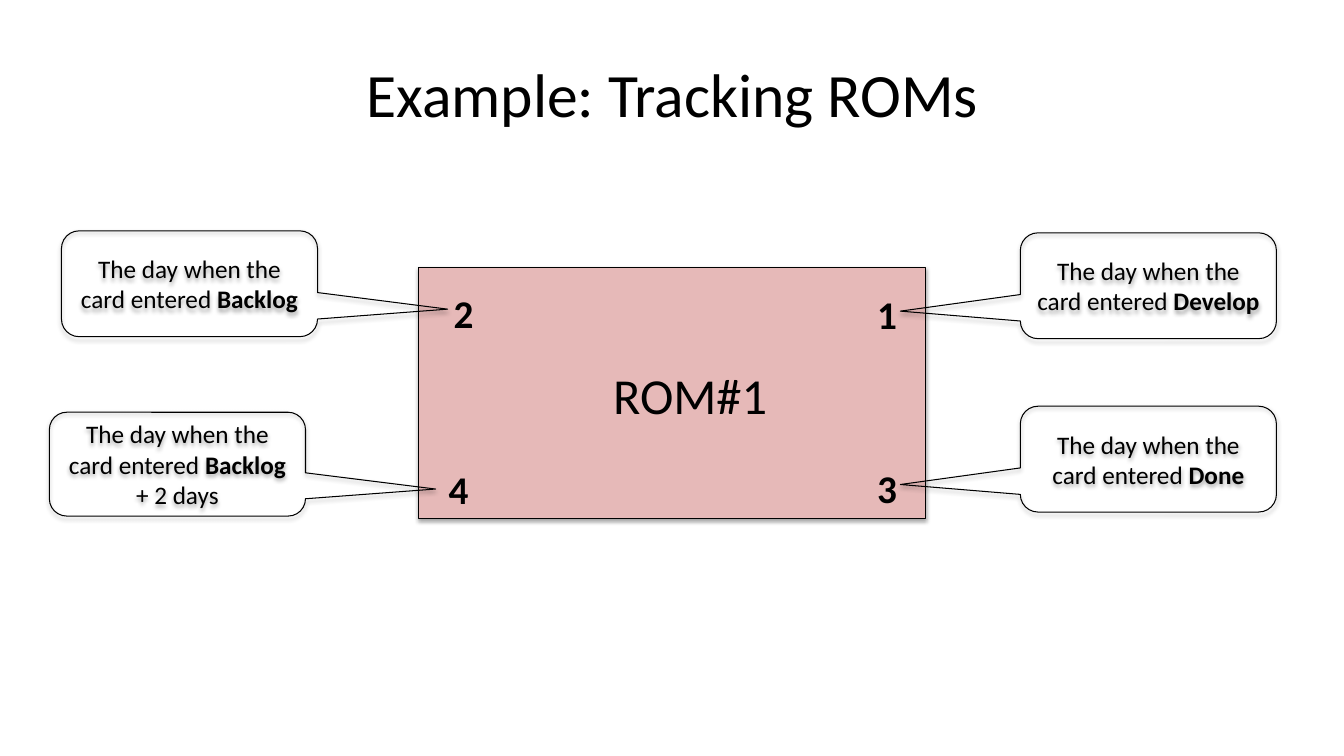
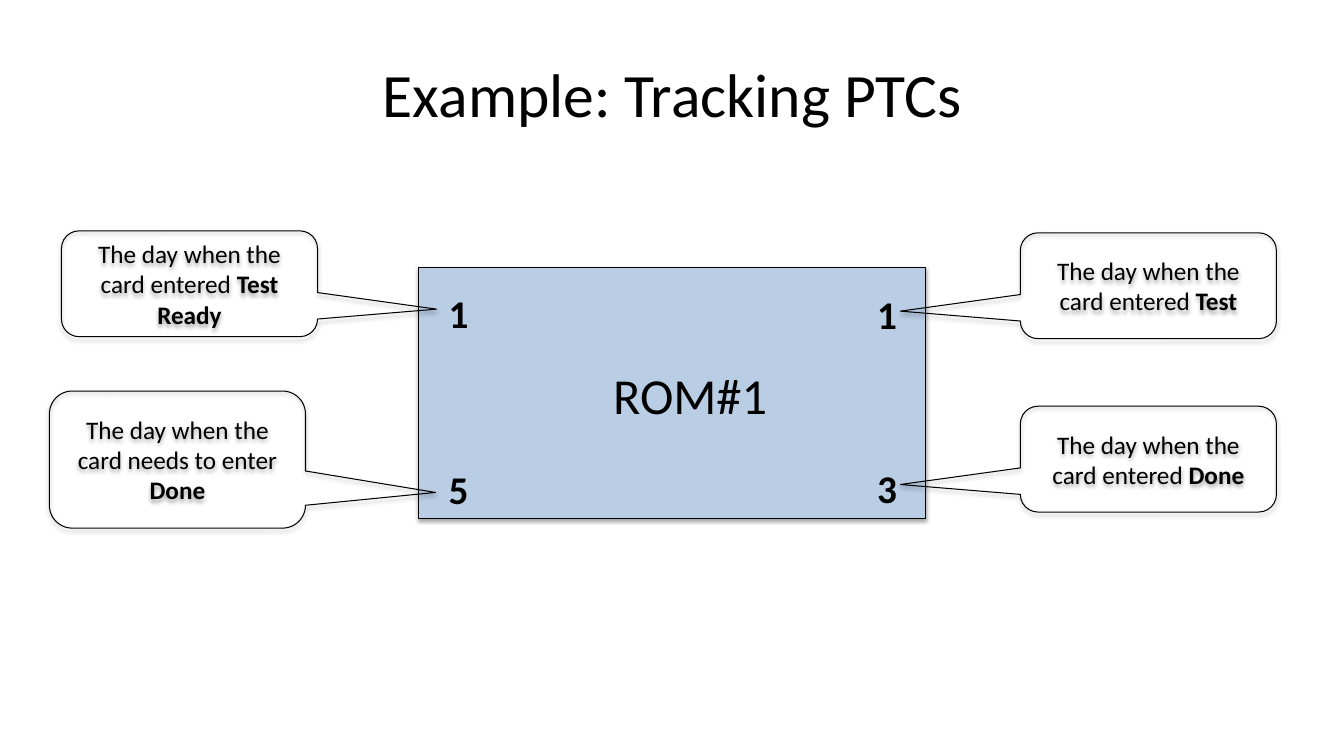
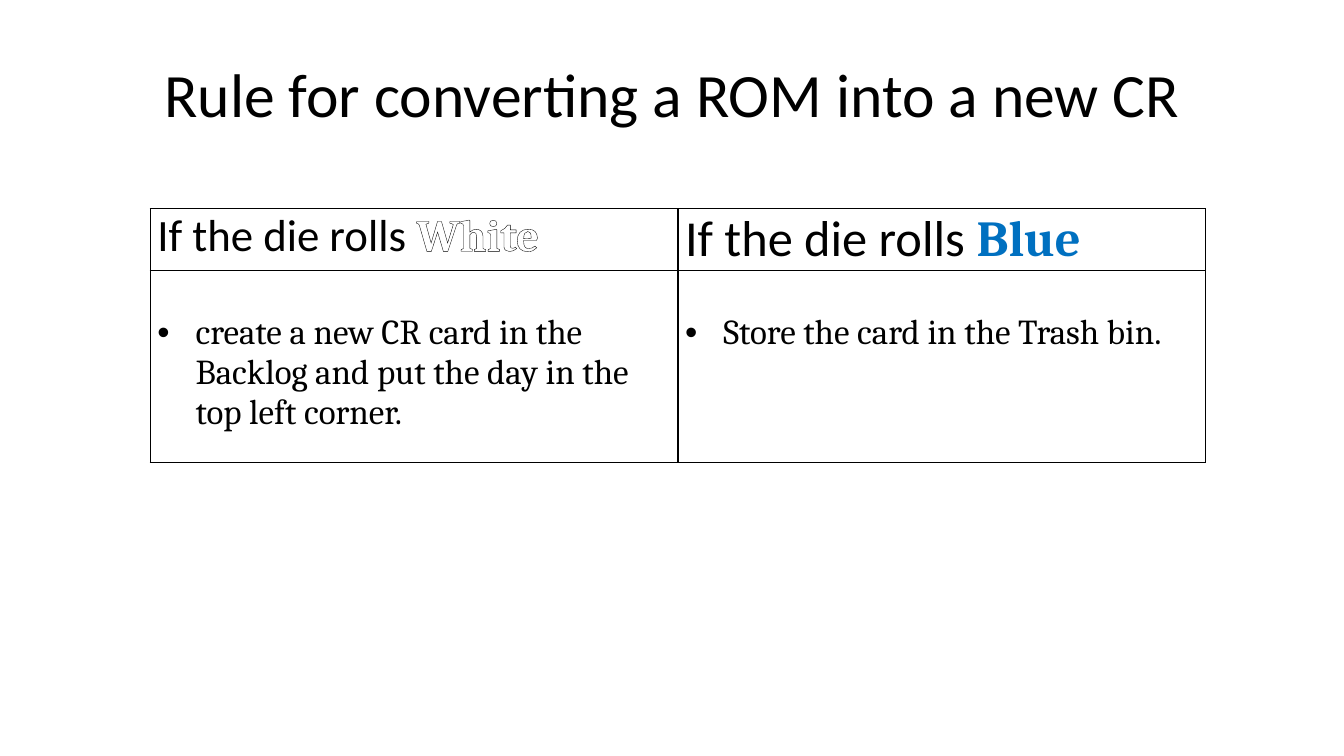
from lxml import etree
from pptx import Presentation
from pptx.dml.color import RGBColor
from pptx.enum.shapes import MSO_SHAPE as Shape
from pptx.enum.text import MSO_ANCHOR as Anchor, MSO_AUTO_SIZE as AutoSize, PP_ALIGN as Align
from pptx.oxml import parse_xml
from pptx.oxml.ns import nsdecls, qn
from pptx.util import Inches, Pt

BLACK = RGBColor(0x00, 0x00, 0x00)
WHITE = RGBColor(0xFF, 0xFF, 0xFF)
BLUE = RGBColor(0x00, 0x70, 0xC0)
PINK = RGBColor(0xE6, 0xB9, 0xB8)
PALE_BLUE = RGBColor(0xB9, 0xCD, 0xE5)
SANS, SERIF = "Calibri", "Cambria"

# Content: callout runs are (text, bold)
ENTERED = ("The day when the card entered ", False)
TRACKING = [
    {"title": "Example: Tracking ROMs", "fill": PINK, "corners": [
        # digit, digit left and top, callout left, top and height, tip x, runs
        ("2", 4.4, 2.82, 0.61, 2.29, 1.05, 4.44, [ENTERED, ("Backlog", True)]),
        ("1", 8.6, 2.83, 10.12, 2.31, 1.05, 8.93, [ENTERED, ("Develop", True)]),
        ("4", 4.35, 4.57, 0.49, 4.09, 1.03, 4.32,
         [ENTERED, ("Backlog", True), (" + 2 days", False)]),
        ("3", 8.6, 4.56, 10.12, 4.03, 1.05, 8.93, [ENTERED, ("Done", True)]),
    ]},
    {"title": "Example: Tracking PTCs", "fill": PALE_BLUE, "corners": [
        ("1", 4.35, 2.82, 0.61, 2.29, 1.05, 4.33, [ENTERED, ("Test Ready", True)]),
        ("1", 8.6, 2.83, 10.12, 2.31, 1.05, 8.93, [ENTERED, ("Test", True)]),
        ("5", 4.35, 4.57, 0.49, 3.88, 1.36, 4.32,
         [("The day when the card needs to enter ", False), ("Done", True)]),
        ("3", 8.6, 4.56, 10.12, 4.03, 1.05, 8.93, [ENTERED, ("Done", True)]),
    ]},
]
CARD_NAME = "ROM#1"
RULE_TITLE = "Rule for converting a ROM into a new CR"
RULES = [  # colour word, colour, heading size, action
    ("White", WHITE, 32,
     "create a new CR card in the Backlog and put the day in the top left corner."),
    ("Blue", BLUE, 36, "Store the card in the Trash bin."),
]

# Layout, in inches
TITLE_AT = (0.67, 0.3, 12, 1.25)
CARD_AT = (4.15, 2.65, 5.03, 2.49)
NAME_AT = (4.74, 3.56, 4.21, 0.71)
DIGIT_SIZE = (0.39, 0.57)
CALLOUT_WIDTH = 2.54
TABLE_AT = (1.49, 2.07, 10.47, 2.52)
ROW_HEIGHTS = (0.61, 1.91)


def inches(values):
    return [Inches(value) for value in values]


def add_span(para, text, size, bold=False, color=BLACK, font=SANS):
    span = para.add_run()
    span.text = text
    span.font.size = Pt(size)
    span.font.bold = bold
    span.font.name = font
    span.font.color.rgb = color
    return span


def add_page(deck, layout, title):
    page = deck.slides.add_slide(layout)
    para = page.shapes.title.text_frame.paragraphs[0]
    para.alignment = Align.CENTER
    add_span(para, title, 44)
    return page


def add_outlined(page, kind, at, fill=None):
    """Preset shape with a thin black line and a soft shadow below it."""
    shape = page.shapes.add_shape(kind, *inches(at))
    if fill is None:
        shape.fill.background()
    else:
        shape.fill.solid()
        shape.fill.fore_color.rgb = fill
    shape.line.color.rgb = BLACK
    shape.line.width = Pt(0.75)
    shape.shadow.inherit = False
    shape._element.spPr.find(qn("a:effectLst")).append(parse_xml(
        f'<a:outerShdw {nsdecls("a")} blurRad="{Pt(3.1)}" dist="{Pt(1.8)}" dir="5400000" '
        'rotWithShape="0"><a:srgbClr val="000000"><a:alpha val="35000"/></a:srgbClr>'
        '</a:outerShdw>'))
    return shape


def add_label(page, text, at, size, bold=False, align=Align.LEFT, wrap=False):
    frame = page.shapes.add_textbox(*inches(at)).text_frame
    frame.word_wrap = wrap
    frame.auto_size = AutoSize.SHAPE_TO_FIT_TEXT
    para = frame.paragraphs[0]
    para.alignment = align
    add_span(para, text, size, bold)


def add_callout(page, left, top, height, tip_x, runs):
    box = add_outlined(page, Shape.ROUNDED_RECTANGULAR_CALLOUT,
                       (left, top, CALLOUT_WIDTH, height))
    # The tip is a share of the size, measured from the centre
    box.adjustments[0] = (tip_x - left) / CALLOUT_WIDTH - 0.5
    box.adjustments[1] = 0.24
    box.adjustments[2] = 0.167
    frame = box.text_frame
    frame.word_wrap = True
    frame.vertical_anchor = Anchor.MIDDLE
    para = frame.paragraphs[0]
    para.alignment = Align.CENTER
    for text, bold in runs:
        add_span(para, text, 18, bold)


def add_tracking_page(deck, layout, content):
    page = add_page(deck, layout, content["title"])
    add_outlined(page, Shape.RECTANGLE, CARD_AT, content["fill"])
    add_label(page, CARD_NAME, NAME_AT, 36, align=Align.CENTER, wrap=True)
    for digit, digit_left, digit_top, *_ in content["corners"]:
        add_label(page, digit, (digit_left, digit_top, *DIGIT_SIZE), 28, bold=True)
    for _, _, _, *callout in content["corners"]:
        add_callout(page, *callout)


def line_xml(tag, width):
    return parse_xml(f'<a:{tag} {nsdecls("a")} w="{Pt(width)}"><a:solidFill>'
                     f'<a:srgbClr val="{BLACK}"/></a:solidFill></a:{tag}>')


def format_cell(cell, margin_top=0):
    cell.margin_left = cell.margin_right = Inches(0.07)
    cell.margin_top, cell.margin_bottom = Inches(margin_top), 0
    cell.fill.solid()
    cell.fill.fore_color.rgb = WHITE
    for place, side in enumerate(("lnL", "lnR", "lnT", "lnB")):
        cell._tc.tcPr.insert(place, line_xml(side, 1))
    return cell.text_frame.paragraphs[0]


def add_bullet(para):
    props = para._p.get_or_add_pPr()
    props.set("marL", str(Inches(0.38)))
    props.set("indent", str(-Inches(0.38)))
    etree.SubElement(props, qn("a:buFont"), typeface="Arial")
    etree.SubElement(props, qn("a:buChar"), char="•")


def add_rule_page(deck, layout):
    page = add_page(deck, layout, RULE_TITLE)
    table = page.shapes.add_table(2, len(RULES), *inches(TABLE_AT)).table
    table.first_row = table.horz_banding = False
    for row, height in zip(table.rows, ROW_HEIGHTS):
        row.height = Inches(height)
    for column, (word, color, size, action) in enumerate(RULES):
        heading = format_cell(table.cell(0, column))
        add_span(heading, "If the die rolls ", size)
        span = add_span(heading, word, size, True, color, SERIF)
        if color == WHITE:  # outlined, to stay visible on white
            span.font._element.insert(0, line_xml("ln", 0.75))
        para = format_cell(table.cell(1, column), margin_top=0.42)
        add_bullet(para)
        add_span(para, action, 25, font=SERIF)


def main():
    deck = Presentation()
    deck.slide_width, deck.slide_height = Inches(13.33), Inches(7.5)
    layout = deck.slide_layouts[5]  # title only
    title = layout.placeholders[0]
    title.left, title.top, title.width, title.height = inches(TITLE_AT)
    title.text_frame.vertical_anchor = Anchor.MIDDLE
    for content in TRACKING:
        add_tracking_page(deck, layout, content)
    add_rule_page(deck, layout)
    deck.save("out.pptx")


if __name__ == "__main__":
    main()
